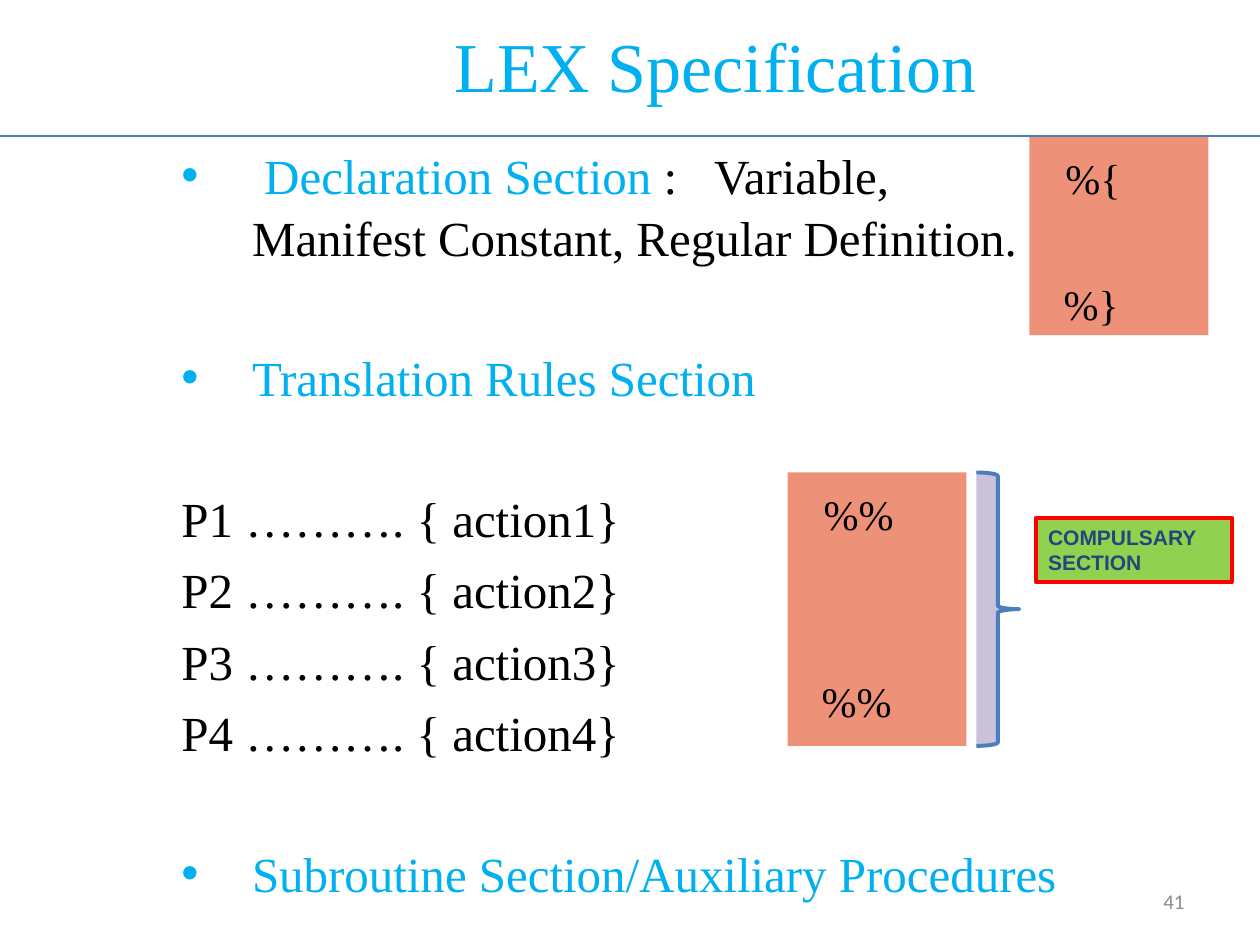
import pptx
import pptx.util
import pptx.dml.color
import pptx.enum.shapes
import pptx.enum.text
import pptx.oxml.ns
import lxml.etree

Inches, Pt = pptx.util.Inches, pptx.util.Pt
ALIGN = pptx.enum.text.PP_ALIGN
ANCHOR = pptx.enum.text.MSO_ANCHOR
SHAPE = pptx.enum.shapes.MSO_SHAPE

COLORS = {"cyan": "00B0F0", "black": "000000", "salmon": "ED9279", "green": "92D050",
          "red": "FF0000", "navy": "1F497D", "lilac": "CCC1DA", "blue": "4B7EBC",
          "gray": "8C8C8C"}
SERIF = "Times New Roman"
LINE_HEIGHT = 1.05
INDENT, HANGING = 0.65, -0.56

# Content: (bulleted, blank lines before, [(text, color, letter spacing in points)])
SECTIONS = [
    (True, 0, [(" Declaration Section ", "cyan", 0), (":", "black", 0), (" ", "black", 14),
               ("Variable, Manifest Constant, Regular Definition.", "black", 0)]),
    (True, 1, [("Translation Rules Section", "cyan", 0)]),
    *[(False, 1 if n == 1 else 0, [(f"P{n} ………. {{ action{n}}}", "black", 0)])
      for n in range(1, 5)],
    (True, 1, [("Subroutine Section/Auxiliary Procedures", "cyan", 0)]),
]
# Delimiter boxes: (left, top, width, height), opening, closing, blank lines between
DELIMITERS = [
    ((8.17, 1.08, 1.42, 1.58), "%{", "%}", 1),
    ((6.25, 3.75, 1.42, 2.17), "%%", "%%", 2),
]


def rgb(name):
    return pptx.dml.color.RGBColor.from_string(COLORS[name])


def place(part, box):
    for side, length in zip(("left", "top", "width", "height"), box):
        setattr(part, side, Inches(length))


def add_run(paragraph, text, color, size, name=SERIF, bold=False):
    run = paragraph.add_run()
    run.text = text
    font_format = {"size": Pt(size), "name": name, "bold": bold}
    for key, value in font_format.items():
        setattr(run.font, key, value)
    run.font.color.rgb = rgb(color)
    return run


def next_paragraph(frame, index):
    return frame.add_paragraph() if index else frame.paragraphs[0]


def set_indent(paragraph, bullet=False):
    props = paragraph._p.get_or_add_pPr()
    props.set("marL", str(Inches(INDENT)))
    props.set("indent", str(Inches(HANGING)))
    if bullet:
        font = lxml.etree.SubElement(props, pptx.oxml.ns.qn("a:buFont"))
        font.set("typeface", "Arial")
        lxml.etree.SubElement(props, pptx.oxml.ns.qn("a:buChar")).set("char", "•")
    else:
        lxml.etree.SubElement(props, pptx.oxml.ns.qn("a:buNone"))


def set_spacing(paragraph, size, before, blank_lines):
    """Space before a paragraph, widened by whole lines of the same pitch."""
    pitch = size * 1.15 * LINE_HEIGHT + before
    paragraph.line_spacing = LINE_HEIGHT
    paragraph.space_before = Pt(round(before + blank_lines * pitch, 1))


def add_block(slide, kind, box, fill, line=None):
    block = slide.shapes.add_shape(kind, *map(Inches, box))
    block.shadow.inherit = False
    block.fill.solid()
    block.fill.fore_color.rgb = rgb(fill)
    if line:
        block.line.color.rgb = rgb(line)
        block.line.width = Pt(2.25)
    else:
        block.line.fill.background()
    block.text_frame.word_wrap = True
    block.text_frame.vertical_anchor = ANCHOR.TOP
    block.text_frame.paragraphs[0].alignment = ALIGN.LEFT
    return block


deck = pptx.Presentation()
deck.slide_width, deck.slide_height = Inches(10), Inches(7.5)
slide = deck.slides.add_slide(deck.slide_layouts[1])

# Title
title = slide.shapes.title
place(title, (1.58, 0, 8.2, 1.03))
title.text_frame.vertical_anchor = ANCHOR.MIDDLE
title.text_frame.paragraphs[0].alignment = ALIGN.CENTER
add_run(title.text_frame.paragraphs[0], "LEX Specification", "cyan", 40)

# Sections of a specification
sections = slide.placeholders[1]
place(sections, (1.25, 1.08, 7.33, 6))
sections.text_frame.auto_size = pptx.enum.text.MSO_AUTO_SIZE.NONE
for index, (bullet, blank_lines, pieces) in enumerate(SECTIONS):
    paragraph = next_paragraph(sections.text_frame, index)
    set_spacing(paragraph, 28, 5.6 if index else 2, blank_lines)
    set_indent(paragraph, bullet)
    for text, color, spacing in pieces:
        run = add_run(paragraph, text, color, 28)
        if spacing:
            run.font._element.set("spc", str(spacing * 100))

# Delimiter boxes
for box, opening, closing, blank_lines in DELIMITERS:
    delimiter = add_block(slide, SHAPE.RECTANGLE, box, "salmon")
    for index, mark in enumerate((opening, closing)):
        paragraph = next_paragraph(delimiter.text_frame, index)
        paragraph.alignment = ALIGN.LEFT
        set_spacing(paragraph, 24, 6, blank_lines * index)
        set_indent(paragraph)
        add_run(paragraph, " ", "black", 24 if index else 28)
        add_run(paragraph, mark, "black", 24)

# Compulsory label and its brace
label = add_block(slide, SHAPE.RECTANGLE, (8.22, 4.11, 1.56, 0.51), "green", "red")
add_run(label.text_frame.paragraphs[0], "COMPULSARY SECTION", "navy", 12, "Arial", True)
add_block(slide, SHAPE.RIGHT_BRACE, (7.75, 3.75, 0.34, 2.17), "lilac", "blue")

# Rule under the title
rule = slide.shapes.add_connector(pptx.enum.shapes.MSO_CONNECTOR.STRAIGHT,
                                  Inches(0), Inches(1.08), Inches(10), Inches(1.08))
rule.line.color.rgb = rgb("blue")
rule.line.width = Pt(0.75)
lxml.etree.SubElement(rule._element.spPr, pptx.oxml.ns.qn("a:effectLst"))

# Page number
page = slide.shapes.add_textbox(*map(Inches, (7.17, 6.95, 2.33, 0.4)))
page.text_frame.word_wrap = True
page.text_frame.vertical_anchor = ANCHOR.MIDDLE
page.text_frame.paragraphs[0].alignment = ALIGN.RIGHT
add_run(page.text_frame.paragraphs[0], "41", "gray", 12, "Calibri")

deck.save("out.pptx")
